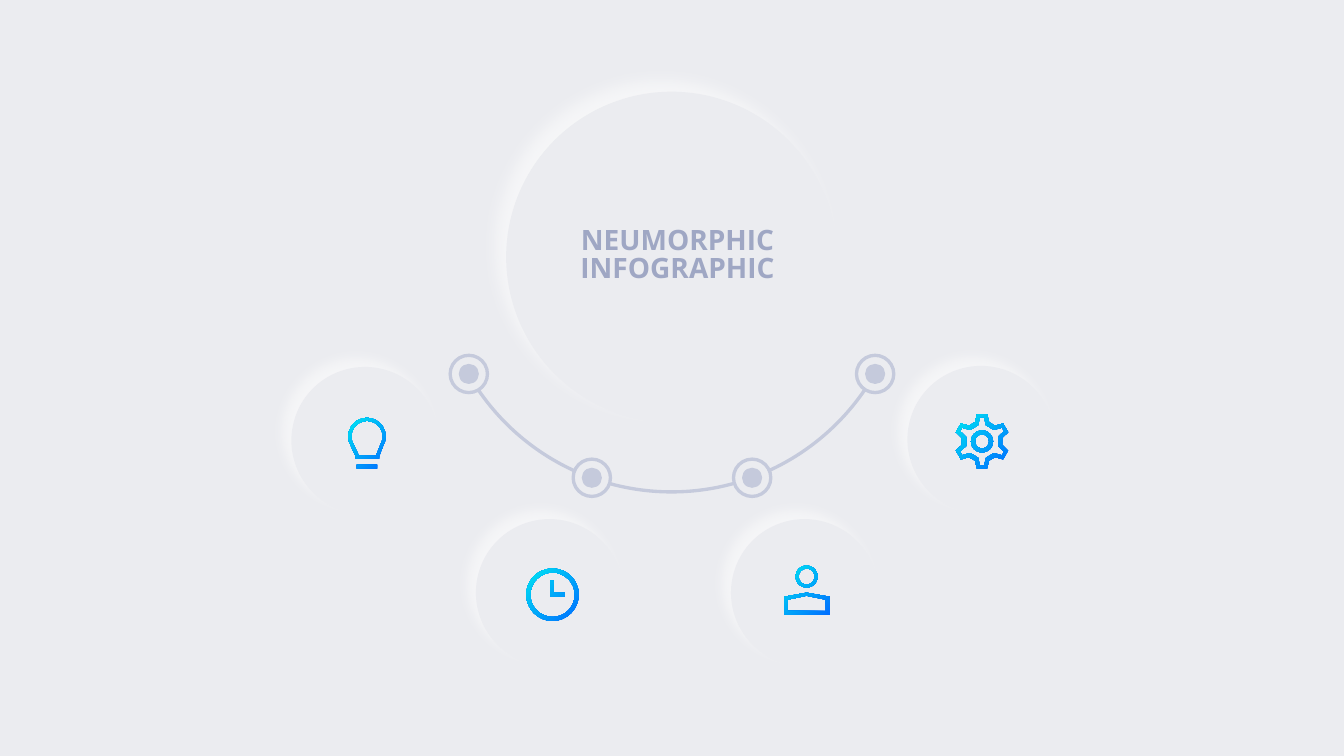
from math import cos, radians, sin, tan

from lxml import etree
from pptx import Presentation
from pptx.dml.color import RGBColor
from pptx.enum import shapes, text
from pptx.oxml import ns
from pptx.util import Inches, Pt

HUES = {"base": "EBECF0", "line": "C5CADC", "title": "9FA7C4",
        "glow": "FFFFFF", "blue": "006EFF", "cyan": "00E6F2"}
RGB = {name: RGBColor.from_string(hue) for name, hue in HUES.items()}


def arc(x, y, r, start=0, end=360, parts=4):
    step = radians(end - start) / parts
    pull = 4 / 3 * tan(step / 4) * r
    a = radians(start)
    pts = [(x + r * cos(a), y + r * sin(a))]
    for i in range(parts):
        b = a + step
        px, py = x + r * cos(a), y + r * sin(a)
        qx, qy = x + r * cos(b), y + r * sin(b)
        pts += [(px - pull * sin(a), py + pull * cos(a), "curve"),
                (qx + pull * sin(b), qy - pull * cos(b), "curve"),
                (qx, qy, "curve")]
        a = b
    return pts


def draw(loops, close=True):
    pen = None
    for loop in loops:
        pts = [(Inches(p[0]), Inches(p[1])) for p in loop]
        if pen is None:
            pen = slide.shapes.build_freeform(*pts[0])
        else:
            pen.move_to(*pts[0])
        pen.add_line_segments(pts[1:], close=close and pts[0] != pts[-1])
    shape = pen.convert_to_shape()
    shape.shadow.inherit = False
    lines = list(shape._element.iter(ns.qn("a:lnTo")))
    bends = []
    for loop in loops:
        bends += [len(p) == 3 for p in loop[1:]]
        if close and loop[0][:2] != loop[-1][:2] and len(lines) > sum(
                len(l) - 1 for l in loops):
            bends.append(False)
    curved = [line for line, bend in zip(lines, bends) if bend]
    for first, second, third in zip(*[iter(curved)] * 3):
        bend = etree.Element(ns.qn("a:cubicBezTo"))
        first.addprevious(bend)
        for line in (first, second, third):
            bend.append(line[0])
            line.getparent().remove(line)
    return shape


prs = Presentation()
prs.slide_width, prs.slide_height = Inches(13.33), Inches(7.5)
slide = prs.slides.add_slide(prs.slide_layouts[5])
slide.background.fill.solid()
slide.background.fill.fore_color.rgb = RGB["base"]

discs = [(6.66, 2.55, 3.28, 12, 11), (3.62, 4.37, 1.46, 9, 9),
         (5.45, 5.88, 1.46, 9, 9), (7.98, 5.88, 1.46, 9, 9),
         (9.73, 4.36, 1.46, 9, 9)]
for x, y, size, blur, dist in discs:
    disc = slide.shapes.add_shape(
        shapes.MSO_SHAPE.OVAL, Inches(x - size / 2), Inches(y - size / 2),
        Inches(size), Inches(size))
    disc.fill.solid()
    disc.fill.fore_color.rgb = RGB["base"]
    disc.line.fill.background()
    disc.shadow.inherit = False
    glow = etree.SubElement(
        disc._element.spPr.find(ns.qn("a:effectLst")), ns.qn("a:outerShdw"),
        blurRad=str(Pt(blur)), dist=str(Pt(dist)), dir=str(225 * 60000),
        algn="ctr", rotWithShape="0")
    tint = etree.SubElement(glow, ns.qn("a:srgbClr"), val=HUES["glow"])
    etree.SubElement(tint, ns.qn("a:alpha"), val="56000")

curve = draw([arc(6.66, 2.56, 2.32, 29.7, 150.3, 2)], close=False)
curve.fill.background()
curve.line.color.rgb = RGB["line"]
curve.line.width = Pt(2.38)

for x, y in [(4.65, 3.71), (5.87, 4.74), (7.46, 4.74), (8.68, 3.71)]:
    for size, hue in [(0.37, "base"), (0.2, "line")]:
        dot = slide.shapes.add_shape(
            shapes.MSO_SHAPE.OVAL, Inches(x - size / 2), Inches(y - size / 2),
            Inches(size), Inches(size))
        dot.shadow.inherit = False
        dot.fill.solid()
        dot.fill.fore_color.rgb = RGB[hue]
        if hue == "base":
            dot.line.color.rgb = RGB["line"]
            dot.line.width = Pt(2.38)
        else:
            dot.line.fill.background()

teeth = [[(-0.07, -0.19), (-0.05, -0.27), (0.05, -0.27), (0.07, -0.19)],
         [(-0.04, -0.16), (-0.02, -0.24), (0.02, -0.24), (0.04, -0.16)]]
gear = [[(9.74 + x * cos(t) - y * sin(t), 4.38 + x * sin(t) + y * cos(t))
         for t in [radians(60 * i) for i in range(6)] for x, y in tooth]
        for tooth in teeth]
gear += [arc(9.74, 4.38, 0.11), arc(9.74, 4.38, 0.07)]

bulb = [
    [(3.54, 4.61), (3.74, 4.61), (3.74, 4.65), (3.54, 4.65)],
    [(3.76, 4.55), (3.53, 4.55), (3.53, 4.53)]
    + arc(3.64, 4.33, 0.185, 150, 390) + [(3.76, 4.53)],
    [(3.73, 4.52), (3.56, 4.52)] + arc(3.64, 4.33, 0.155, 150, 390),
]
user = [
    [(8.23, 5.92), (8, 5.88), (7.78, 5.92), (7.78, 6.1), (8.23, 6.1)],
    [(8.19, 6.06), (7.81, 6.06), (7.81, 5.95), (8, 5.91), (8.19, 5.95)],
    arc(8, 5.72, 0.11), arc(8, 5.72, 0.08),
]
clock = [
    arc(5.48, 5.9, 0.26), arc(5.48, 5.9, 0.22),
    [(5.6, 5.92), (5.46, 5.92), (5.46, 5.76), (5.49, 5.76),
     (5.49, 5.88), (5.6, 5.88)],
]
for loops in [gear, bulb, user, clock]:
    icon = draw([loop + loop[:1] if len(loop[-1]) == 2 else loop
                 for loop in loops])
    icon.line.fill.background()
    icon.fill.gradient()
    icon.fill.gradient_angle = 135
    for stop, hue in zip(icon.fill.gradient_stops, ["blue", "cyan"]):
        stop.color.rgb = RGB[hue]

title = slide.shapes.title
slide.shapes._spTree.append(title._element)
title.left, title.top = Inches(5.75), Inches(2.26)
title.width, title.height = Inches(1.94), Inches(0.56)
frame = title.text_frame
frame.text = "NEUMORPHIC\nINFOGRAPHIC"
frame.margin_left = frame.margin_right = 0
frame.margin_top = frame.margin_bottom = 0
frame.word_wrap = False
frame.auto_size = text.MSO_AUTO_SIZE.NONE
frame.vertical_anchor = text.MSO_ANCHOR.TOP
for para in frame.paragraphs:
    para.alignment = text.PP_ALIGN.CENTER
    para.line_spacing = Pt(20.16)
    para.space_before = Pt(0)
    para.font.name = "Open Sans"
    para.font.size = Pt(20)
    para.font.bold = True
    para.font.color.rgb = RGB["title"]

prs.save("out.pptx")
